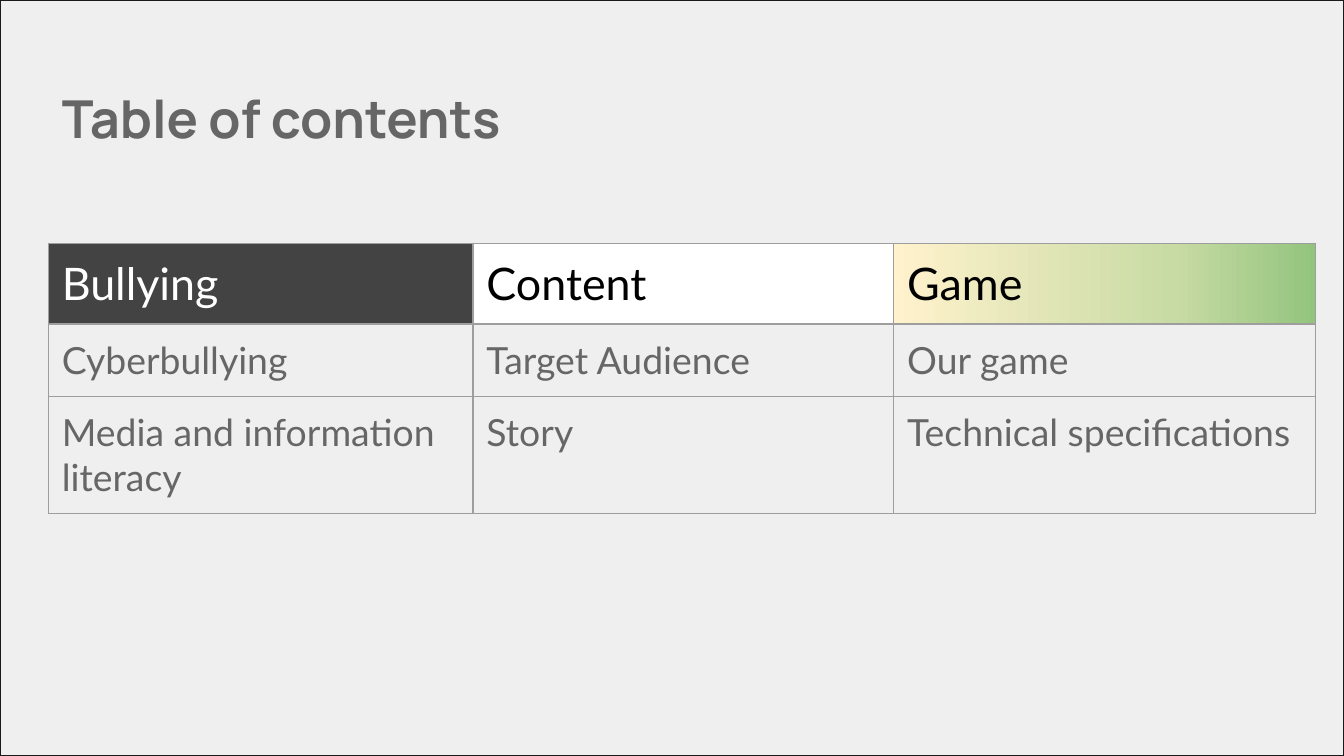
"""Build a table-of-contents slide with a three-column topic table."""
from copy import deepcopy
from dataclasses import dataclass

from lxml import etree
from pptx import Presentation, util as u
from pptx.dml.color import RGBColor
from pptx.enum import shapes, text
from pptx.oxml.ns import qn

COLORS = {
    "paper": "EFEFEF", "frame": "1A1A1A", "gray": "666666", "grid": "9E9E9E",
    "dark": "434343", "white": "FFFFFF", "black": "000000",
    "cream": "FFF2CC", "lime": "C9DBA5", "green": "93C47D",
}
GAME_GRADIENT = ((0, "cream"), (0.66, "lime"), (1, "green"))
ROW_HEIGHTS = (0.6, 0.54, 0.87)


@dataclass
class Section:
    heading: str
    topics: tuple[str, ...]
    width: float
    heading_color: str
    fills: tuple[tuple[float, str], ...]


SECTIONS = (
    Section("Bullying", ("Cyberbullying", "Media and information literacy"),
            3.16, "white", ((0, "dark"),)),
    Section("Content", ("Target Audience", "Story"), 3.13, "black", ((0, "white"),)),
    Section("Game", ("Our game", "Technical specifications"), 3.14, "black", GAME_GRADIENT),
)


def rgb(name: str) -> RGBColor:
    return RGBColor.from_string(COLORS[name])


def add_run(paragraph, words: str, face: str, size: int, color: str, bold: bool = False) -> None:
    run = paragraph.add_run()
    run.text = words
    run.font.name = face
    run.font.size = u.Pt(size)
    run.font.bold = bold
    run.font.color.rgb = rgb(color)


def set_margins(box) -> None:
    box.margin_left = box.margin_right = box.margin_top = box.margin_bottom = u.Inches(0.1)


def set_borders(cell) -> None:
    properties = cell._tc.get_or_add_tcPr()
    for side in ("lnL", "lnR", "lnT", "lnB"):
        line = etree.SubElement(properties, qn(f"a:{side}"), w=str(u.Pt(0.75)))
        solid = etree.SubElement(line, qn("a:solidFill"))
        etree.SubElement(solid, qn("a:srgbClr"), val=COLORS["grid"])


def fill_cell(cell, fills: tuple[tuple[float, str], ...]) -> None:
    if not fills:
        cell.fill.background()
    elif len(fills) == 1:
        cell.fill.solid()
        cell.fill.fore_color.rgb = rgb(fills[0][1])
    else:
        cell.fill.gradient()
        cell.fill.gradient_angle = 0
        stop_list = cell._tc.tcPr.find(f".//{qn('a:gsLst')}")
        for _ in range(len(fills) - len(stop_list)):
            stop_list.append(deepcopy(stop_list[0]))
        for stop, (position, color) in zip(cell.fill.gradient_stops, fills):
            stop.position = position
            stop.color.rgb = rgb(color)


def write_cell(cell, words: str, size: int, color: str,
               fills: tuple[tuple[float, str], ...] = ()) -> None:
    set_margins(cell)
    set_borders(cell)
    fill_cell(cell, fills)
    add_run(cell.text_frame.paragraphs[0], words, "Lato", size, color)


def add_backdrop(slide, width: int, height: int) -> None:
    backdrop = slide.shapes.add_shape(shapes.MSO_SHAPE.RECTANGLE, 0, 0, width, height)
    backdrop.shadow.inherit = False
    backdrop.fill.solid()
    backdrop.fill.fore_color.rgb = rgb("paper")
    backdrop.line.color.rgb = rgb("frame")
    backdrop.line.width = u.Pt(0.75)
    slide.shapes._spTree.insert(2, backdrop._element)


def add_title(slide, words: str) -> None:
    title = slide.shapes.title
    title.left, title.top = u.Inches(0.36), u.Inches(0.54)
    title.width, title.height = u.Inches(7.78), u.Inches(0.59)
    frame = title.text_frame
    frame.auto_size = text.MSO_AUTO_SIZE.NONE
    frame.vertical_anchor = text.MSO_ANCHOR.TOP
    set_margins(frame)
    frame.paragraphs[0].alignment = text.PP_ALIGN.LEFT
    add_run(frame.paragraphs[0], words, "Manrope", 28, "gray", bold=True)


def add_contents(slide, sections: tuple[Section, ...]) -> None:
    total_width = sum(section.width for section in sections)
    contents = slide.shapes.add_table(
        len(ROW_HEIGHTS), len(sections), u.Inches(0.36), u.Inches(1.81),
        u.Inches(total_width), u.Inches(sum(ROW_HEIGHTS))).table
    contents.first_row = contents.horz_banding = False
    for row, height in zip(contents.rows, ROW_HEIGHTS):
        row.height = u.Inches(height)
    for column, section in enumerate(sections):
        contents.columns[column].width = u.Inches(section.width)
        write_cell(contents.cell(0, column), section.heading, 24,
                   section.heading_color, section.fills)
        for row, topic in enumerate(section.topics, start=1):
            write_cell(contents.cell(row, column), topic, 20, "gray")


def main() -> None:
    deck = Presentation()
    deck.slide_width = u.Inches(10)
    deck.slide_height = deck.slide_width * 9 // 16
    slide = deck.slides.add_slide(deck.slide_layouts[5])
    add_backdrop(slide, deck.slide_width, deck.slide_height)
    add_title(slide, "Table of contents")
    add_contents(slide, SECTIONS)
    deck.save("out.pptx")


if __name__ == "__main__":
    main()
